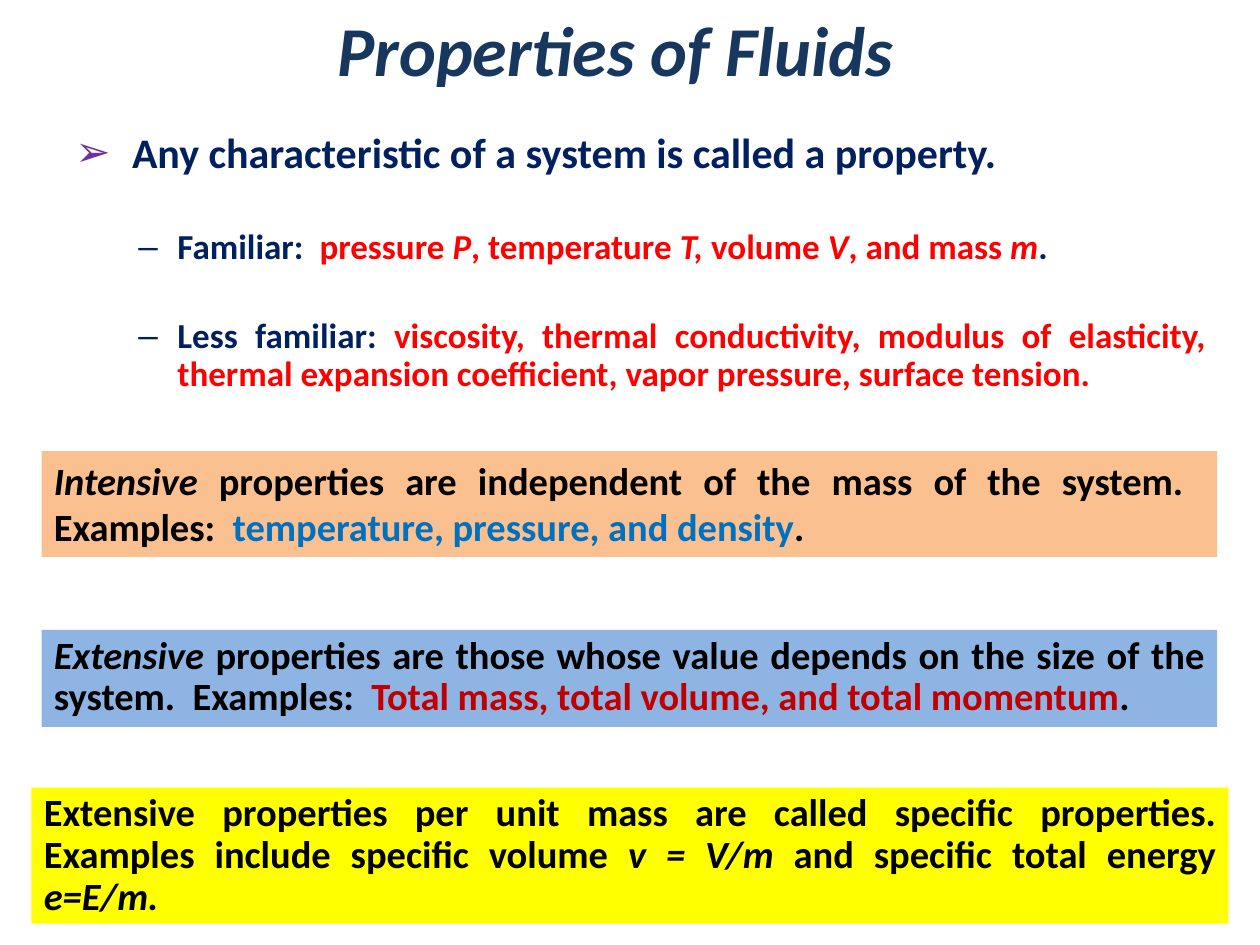
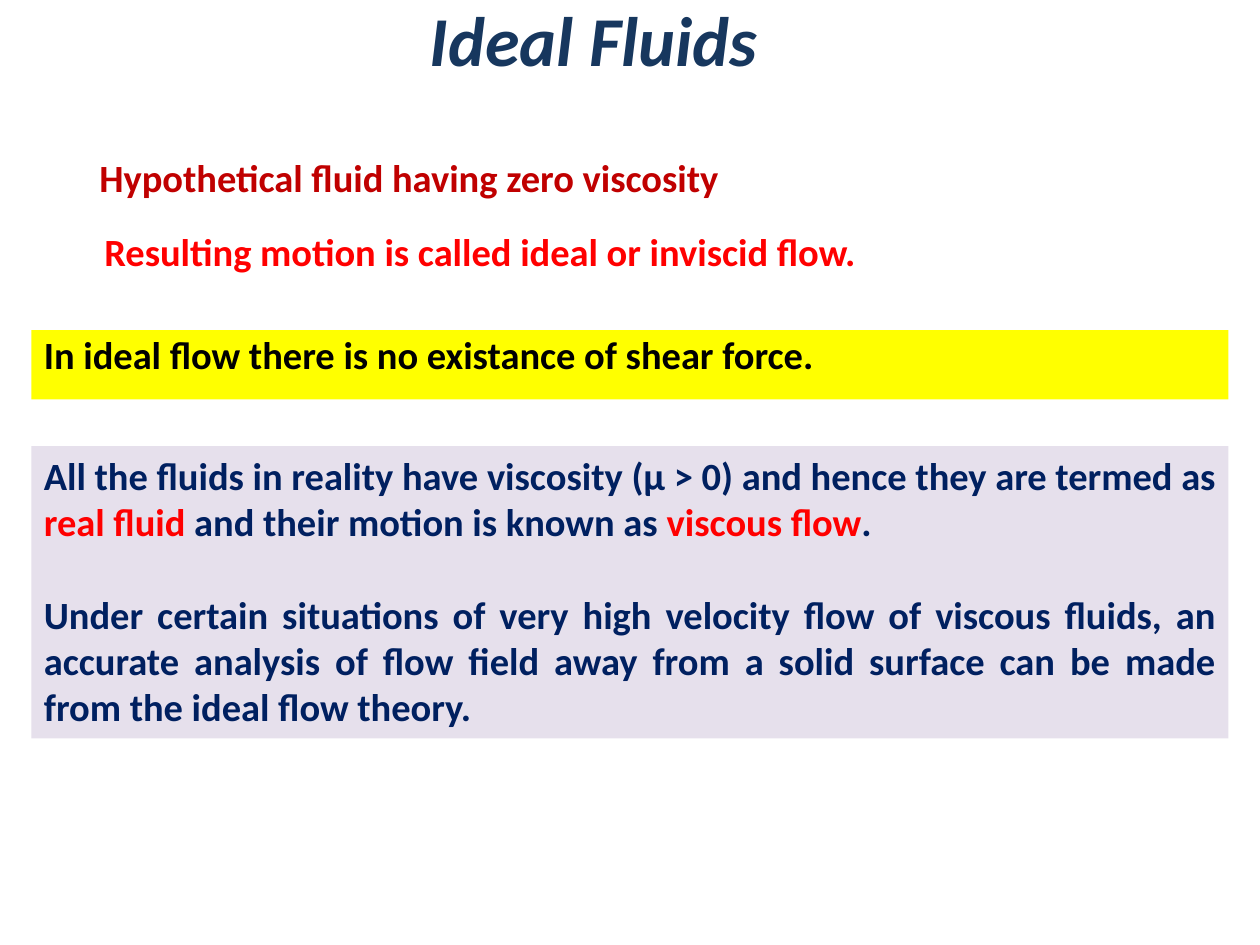
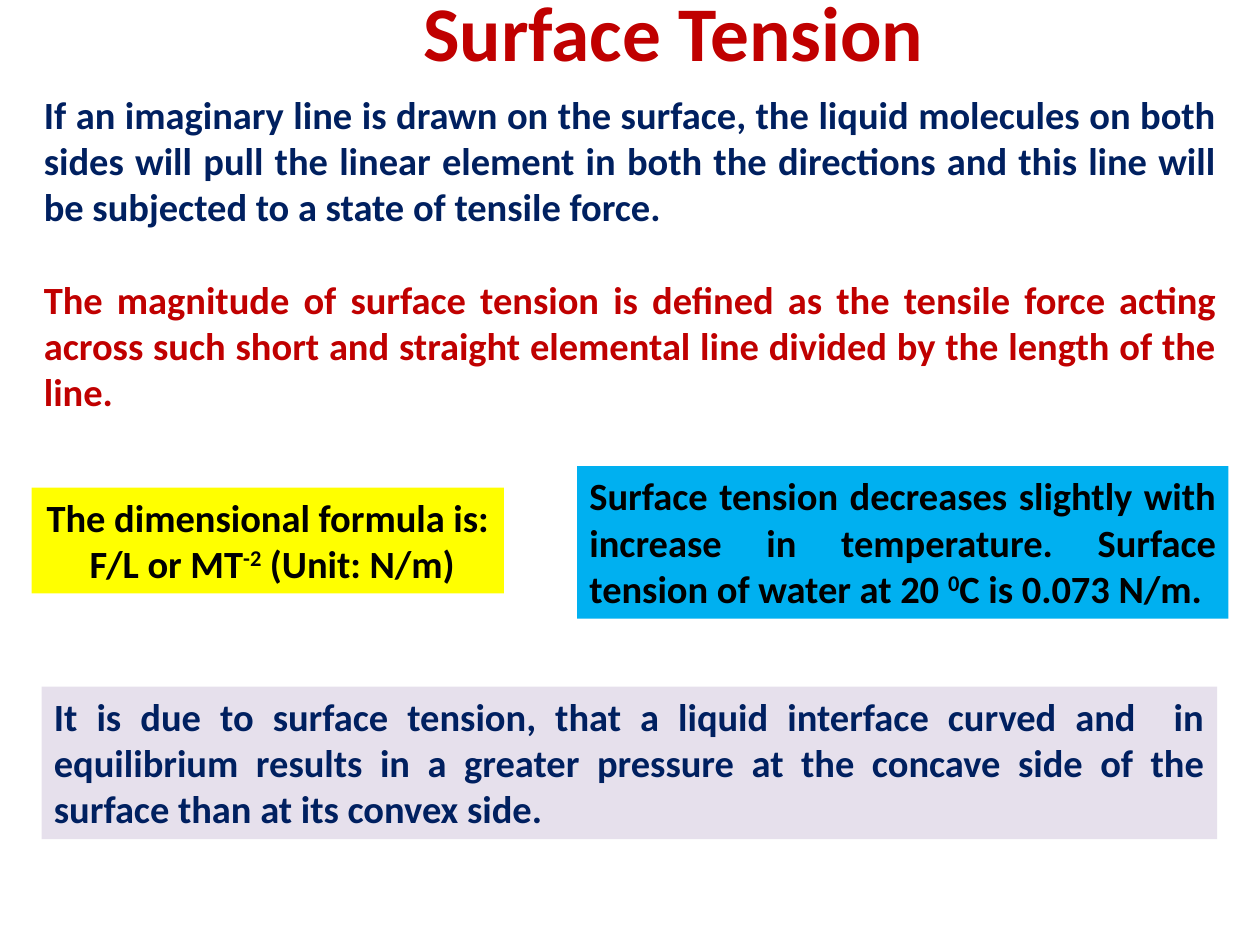
from dataclasses import dataclass
from typing import Optional

from lxml.etree import SubElement
from pptx import Presentation
from pptx.dml.color import RGBColor
from pptx.enum.shapes import MSO_SHAPE as Preset
from pptx.enum.text import MSO_ANCHOR as Anchor, MSO_AUTO_SIZE as AutoSize, PP_ALIGN as Align
from pptx.oxml.ns import qn
from pptx.util import Emu, Pt

PX = 9144  # EMU per px, 100 px to the inch
FONT = "Calibri"
BODY_SIZE = 22
BLANK_LINE = 26.5  # points, one line of body text
TIGHT = 0.9

BLACK = RGBColor(0x00, 0x00, 0x00)
WHITE = RGBColor(0xFF, 0xFF, 0xFF)
TITLE_BLUE = RGBColor(0x17, 0x37, 0x5E)
NAVY = RGBColor(0x00, 0x20, 0x60)
RED = RGBColor(0xFF, 0x00, 0x00)
DARK_RED = RGBColor(0xC0, 0x00, 0x00)
PURPLE = RGBColor(0x70, 0x30, 0xA0)
BLUE = RGBColor(0x00, 0x70, 0xC0)
YELLOW = RGBColor(0xFF, 0xFF, 0x00)
ORANGE = RGBColor(0xFA, 0xC0, 0x90)
LIGHT_BLUE = RGBColor(0x8E, 0xB4, 0xE3)
SKY = RGBColor(0x00, 0xB0, 0xF0)
LILAC = RGBColor(0xE6, 0xE0, 0xEC)


@dataclass(frozen=True)
class Span:
    text: str
    color: Optional[RGBColor] = None
    italic: bool = False
    raised: bool = False


@dataclass(frozen=True)
class Bullet:
    mark: str
    color: RGBColor
    margin: int
    hang: int


@dataclass(frozen=True)
class Para:
    spans: tuple[Span, ...]
    color: RGBColor = BLACK
    size: float = BODY_SIZE
    align: Align = Align.JUSTIFY
    line: float = 1.0
    before: float = 0
    margin: int = 0
    bullet: Optional[Bullet] = None


@dataclass(frozen=True)
class Block:
    left: int
    top: int
    width: int
    height: int
    paras: tuple[Para, ...]
    fill: Optional[RGBColor] = None


def plain(text: str, **style) -> Para:
    """A paragraph of one span."""
    return Para((Span(text),), **style)


def title(text: str, align: Align) -> Para:
    return Para((Span(text, italic=True),), TITLE_BLUE, 40, align)


ARROW = Bullet("➢", PURPLE, 45, 45)
DASH = Bullet("–", NAVY, 81, 31)


def dashed(*spans: Span) -> Para:
    return Para(spans, NAVY, 20, line=TIGHT, before=29.5, bullet=DASH)


PROPERTIES = (
    Block(258, 0, 551, 73, (title("Properties of Fluids", Align.LEFT),)),
    Block(25, 625, 950, 108, (Para((
        Span("Extensive properties per unit mass are called specific properties. "
             "Examples include specific volume "),
        Span("v = V/m", italic=True),
        Span(" and specific total energy "),
        Span("e=E/m.", italic=True),
    ), line=TIGHT),), YELLOW),
    Block(50, 100, 917, 255, (
        plain("Any characteristic of a system is called a property.",
              color=NAVY, size=24, line=TIGHT, bullet=ARROW),
        dashed(
            Span("Familiar:  "),
            Span("pressure ", RED), Span("P", RED, italic=True),
            Span(", temperature ", RED), Span("T,", RED, italic=True),
            Span(" volume ", RED), Span("V", RED, italic=True),
            Span(", and mass ", RED), Span("m", RED, italic=True),
            Span("."),
        ),
        dashed(
            Span("Less familiar: "),
            Span("viscosity, thermal conductivity, modulus of elasticity, thermal "
                 "expansion coefficient, vapor pressure, surface tension.", RED),
        ),
    )),
    Block(33, 358, 933, 84, (Para((
        Span("Intensive", italic=True),
        Span(" properties are independent of the mass of the system.  Examples:  "),
        Span("temperature, pressure, and density", BLUE),
        Span("."),
    )),), ORANGE),
    Block(33, 500, 933, 77, (Para((
        Span("Extensive", italic=True),
        Span(" properties are those whose value depends on the size of the system.  Examples:  "),
        Span("Total mass, total volume, and total momentum", DARK_RED),
        Span("."),
    ), line=TIGHT),), LIGHT_BLUE),
)

IDEAL_FLUIDS = (
    Block(175, -8, 592, 77, (title("Ideal Fluids", Align.CENTER),)),
    Block(25, 99, 588, 65, (
        plain("Hypothetical fluid having zero viscosity",
              color=DARK_RED, align=Align.LEFT, line=1.5, margin=44),
    ), WHITE),
    Block(73, 176, 662, 47, (
        plain("Resulting motion is called ideal or inviscid flow.", color=RED, align=Align.LEFT),
    )),
    Block(25, 262, 950, 55, (
        plain("In ideal flow there is no existance of shear force.", line=TIGHT),
    ), YELLOW),
    Block(25, 354, 950, 232, (
        Para((
            Span("All the fluids in reality have viscosity (μ > 0) and hence they are termed as "),
            Span("real fluid", RED),
            Span(" and their motion is known as "),
            Span("viscous flow", RED),
            Span("."),
        ), NAVY),
        plain("Under certain situations of very high velocity flow of viscous fluids, an accurate "
              "analysis of flow field away from a solid surface can be made from the ideal flow "
              "theory.", color=NAVY, before=BLANK_LINE),
    ), LILAC),
)

SURFACE_TENSION = (
    Block(317, -3, 442, 70, (
        plain("Surface Tension", color=DARK_RED, size=44.2, align=Align.LEFT, line=0.8, margin=9),
    )),
    Block(25, 67, 950, 269, (
        plain("If an imaginary line is drawn on the surface, the liquid molecules on both sides "
              "will pull the linear element in both the directions and this line will be "
              "subjected to a state of tensile force.", color=NAVY),
        plain("The magnitude of surface tension is defined as the tensile force acting across "
              "such short and straight elemental line divided by the length of the line.",
              color=DARK_RED, before=BLANK_LINE),
    )),
    Block(25, 387, 375, 84, (
        plain("The dimensional formula is:", align=Align.CENTER),
        Para((Span("F/L or MT"), Span("-2", raised=True), Span(" (Unit: N/m)")),
             align=Align.CENTER, margin=7),
    ), YELLOW),
    Block(458, 370, 517, 121, (Para((
        Span("Surface tension decreases slightly with increase in temperature. "
             "Surface tension of water at 20 "),
        Span("0", raised=True),
        Span("C is 0.073 N/m."),
    )),), SKY),
    Block(33, 545, 933, 121, (
        plain("It is due to surface tension, that a liquid interface curved and  in equilibrium "
              "results in a greater pressure at the concave side of the surface than at its "
              "convex side.", color=NAVY),
    ), LILAC),
)


def px(length: int) -> Emu:
    return Emu(length * PX)


def add_bullet(para, bullet: Bullet) -> None:
    props = para._p.get_or_add_pPr()
    props.set("marL", str(px(bullet.margin)))
    props.set("indent", str(-px(bullet.hang)))
    tint = SubElement(props, qn("a:buClr"))
    SubElement(tint, qn("a:srgbClr"), val=str(bullet.color))
    SubElement(props, qn("a:buFont"), typeface="Arial")
    SubElement(props, qn("a:buChar"), char=bullet.mark)


def add_text(para, text: str, *, size: float, color: RGBColor,
             italic: bool = False, raised: bool = False) -> None:
    span = para.add_run()
    span.text = text
    font = span.font
    font.name, font.size, font.bold, font.italic = FONT, Pt(size), True, italic
    font.color.rgb = color
    if raised:
        span._r.get_or_add_rPr().set("baseline", "30000")


def fill_para(para, content: Para) -> None:
    if content.bullet:
        add_bullet(para, content.bullet)
    elif content.margin:
        para._p.get_or_add_pPr().set("marL", str(px(content.margin)))
    para.alignment = content.align
    para.line_spacing = content.line
    if content.before:
        para.space_before = Pt(content.before)
    for span in content.spans:
        add_text(para, span.text, size=content.size, color=span.color or content.color,
                 italic=span.italic, raised=span.raised)


def add_block(page, block: Block) -> None:
    place = [px(side) for side in (block.left, block.top, block.width, block.height)]
    if block.fill is None:
        box = page.shapes.add_textbox(*place)
    else:
        box = page.shapes.add_shape(Preset.RECTANGLE, *place)
        box.shadow.inherit = False
        box.fill.solid()
        box.fill.fore_color.rgb = block.fill
        box.line.fill.background()
    frame = box.text_frame
    frame.word_wrap = True
    frame.auto_size = AutoSize.NONE
    frame.vertical_anchor = Anchor.TOP
    for index, content in enumerate(block.paras):
        fill_para(frame.add_paragraph() if index else frame.paragraphs[0], content)


def main() -> None:
    deck = Presentation()
    deck.slide_width, deck.slide_height = px(1000), px(750)
    for blocks in (PROPERTIES, IDEAL_FLUIDS, SURFACE_TENSION):
        page = deck.slides.add_slide(deck.slide_layouts[6])
        for block in blocks:
            add_block(page, block)
    deck.save("out.pptx")


if __name__ == "__main__":
    main()
